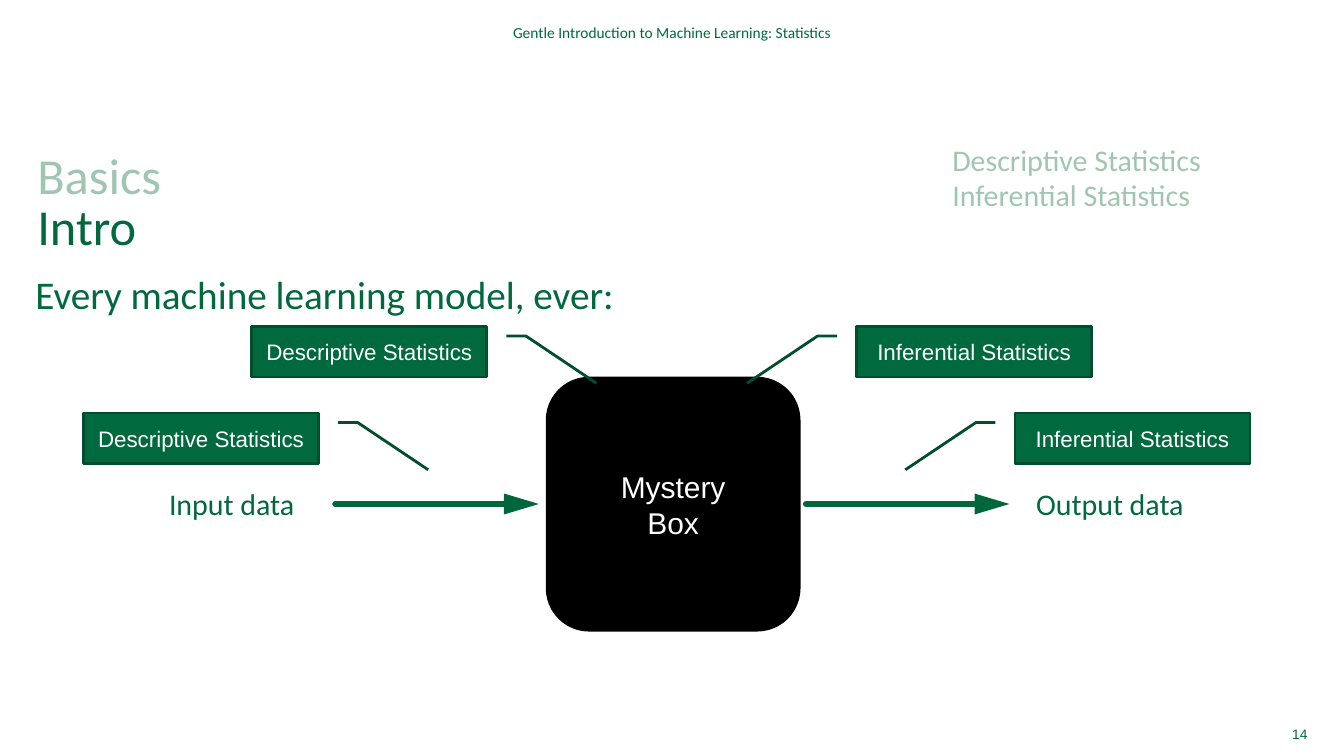
"""Builds the slide that shows a machine learning model as a mystery box."""
from copy import deepcopy

from lxml.etree import SubElement
from pptx import Presentation
from pptx.dml.color import RGBColor
from pptx.enum.shapes import MSO_CONNECTOR, MSO_SHAPE
from pptx.enum.text import MSO_ANCHOR, MSO_AUTO_SIZE, PP_ALIGN
from pptx.oxml.ns import qn
from pptx.util import Cm, Pt

COLORS = {
    "green": "00693E",
    "pale": "A0C6B3",
    "dark": "004E2E",
    "arrow": "00673D",
    "black": "000000",
    "white": "FFFFFF",
}


def rgb(name):
    """Return a palette colour."""
    return RGBColor.from_string(COLORS[name])


def format_text(tf, size, color, font="Calibri", align=PP_ALIGN.LEFT):
    """Format every paragraph, run and line break of a text frame."""
    for p in tf.paragraphs:
        p.alignment = align
        for r in p.runs:
            r.font.size = Pt(size)
            r.font.name = font
            r.font.color.rgb = rgb(color)
        for br in p._p.findall(qn("a:br")):
            br.append(deepcopy(p.runs[0]._r.rPr))


def clear_margins(tf):
    """Remove the inner margins of a text frame."""
    tf.margin_left = tf.margin_top = tf.margin_right = tf.margin_bottom = 0


def fill_placeholder(sp, box, text, size, spacing):
    """Move a placeholder, fill it and return its text frame."""
    sp.left, sp.top, sp.width, sp.height = (Cm(v) for v in box)
    tf = sp.text_frame
    tf.text = text
    tf.auto_size = MSO_AUTO_SIZE.NONE
    tf.vertical_anchor = MSO_ANCHOR.TOP
    clear_margins(tf)
    format_text(tf, size, "green")
    p = tf.paragraphs[0]
    p.line_spacing = spacing
    p.space_before = Pt(0)
    return tf


def add_text(s, box, text, size, color="green", font="Calibri", align=PP_ALIGN.LEFT):
    """Add a text box and return its text frame."""
    tf = s.shapes.add_textbox(*(Cm(v) for v in box)).text_frame
    tf.word_wrap = True
    tf.text = text
    format_text(tf, size, color, font, align)
    return tf


def add_strip(s, box, text, size, font, align):
    """Add a header or footer text without margins."""
    tf = add_text(s, box, text, size, font=font, align=align)
    tf.vertical_anchor = MSO_ANCHOR.MIDDLE
    clear_margins(tf)


def add_box(s, kind, box, text, size, fill, line):
    """Add a filled shape with centred white text."""
    sp = s.shapes.add_shape(kind, *(Cm(v) for v in box))
    sp.shadow.inherit = False
    sp.fill.solid()
    sp.fill.fore_color.rgb = rgb(fill)
    sp.line.color.rgb = rgb(line)
    sp.line.width = Pt(2)
    tf = sp.text_frame
    tf.text = text
    tf.vertical_anchor = MSO_ANCHOR.MIDDLE
    format_text(tf, size, "white", "Arial", PP_ALIGN.CENTER)
    return sp


def add_callout(s, x, y, text, flip):
    """Add a callout whose leader points left, or right when flipped."""
    sp = add_box(s, MSO_SHAPE.LINE_CALLOUT_2, (x, y, 5.92, 1.27), text, 16, "green", "dark")
    if flip:
        sp._element.spPr.xfrm.set("flipH", "1")


def add_arrow(s, x, y, length):
    """Add a thick horizontal arrow pointing right."""
    line = s.shapes.add_connector(MSO_CONNECTOR.STRAIGHT, Cm(x), Cm(y), Cm(x + length), Cm(y))
    line.line.color.rgb = rgb("arrow")
    line.line.width = Pt(5)
    ln = line.line._get_or_add_ln()
    ln.set("cap", "rnd")
    SubElement(ln, qn("a:tailEnd"), type="triangle", w="med", len="lg")
    SubElement(line._element.spPr, qn("a:effectLst"))


def main():
    """Build and save the slide."""
    prs = Presentation()
    prs.slide_width, prs.slide_height = Cm(33.87), Cm(19.05)
    s = prs.slides.add_slide(prs.slide_layouts[1])

    title = fill_placeholder(s.shapes.title, (0.94, 3.86, 32.08, 2.57), "Basics\vIntro", 36, 0.85)
    title.paragraphs[0].runs[0].font.color.rgb = rgb("pale")

    body = fill_placeholder(s.placeholders[1], (0.89, 6.58, 32.08, 11.46),
                            "Every machine learning model, ever:", 28, 1.2)
    p = body.paragraphs[0]
    p.space_after = Pt(6)
    pPr = p._p.get_or_add_pPr()
    pPr.set("marL", "0")
    pPr.set("indent", "0")
    SubElement(pPr, qn("a:buNone"))

    add_strip(s, (6.63, 0.51, 20.62, 0.61), "Gentle Introduction to Machine Learning: Statistics",
              11, "Calibri", PP_ALIGN.CENTER)
    add_strip(s, (31.5, 18.19, 1.45, 0.61), "14", 9.8, "Arial", PP_ALIGN.RIGHT)
    add_text(s, (23.75, 3.43, 7.75, 2.08), "Descriptive Statistics\nInferential Statistics",
             21.4, "pale")

    add_box(s, MSO_SHAPE.ROUNDED_RECTANGLE, (13.79, 9.53, 6.35, 6.35), "Mystery\vBox",
            21.4, "black", "black")

    for y, left, right in ((10.41, 2.11, 25.58), (8.23, 6.35, 21.59)):
        add_callout(s, left, y, "Descriptive Statistics", True)
        add_callout(s, right, y, "Inferential Statistics", False)

    for arrow_x, text_x, width, text in ((8.46, 4.01, 4.04, "Input data"),
                                         (20.32, 25.86, 4.65, "Output data")):
        add_arrow(s, arrow_x, 12.7, 5.12)
        add_text(s, (text_x, 12.12, width, 1.17), text, 21.4)

    prs.save("out.pptx")


if __name__ == "__main__":
    main()
